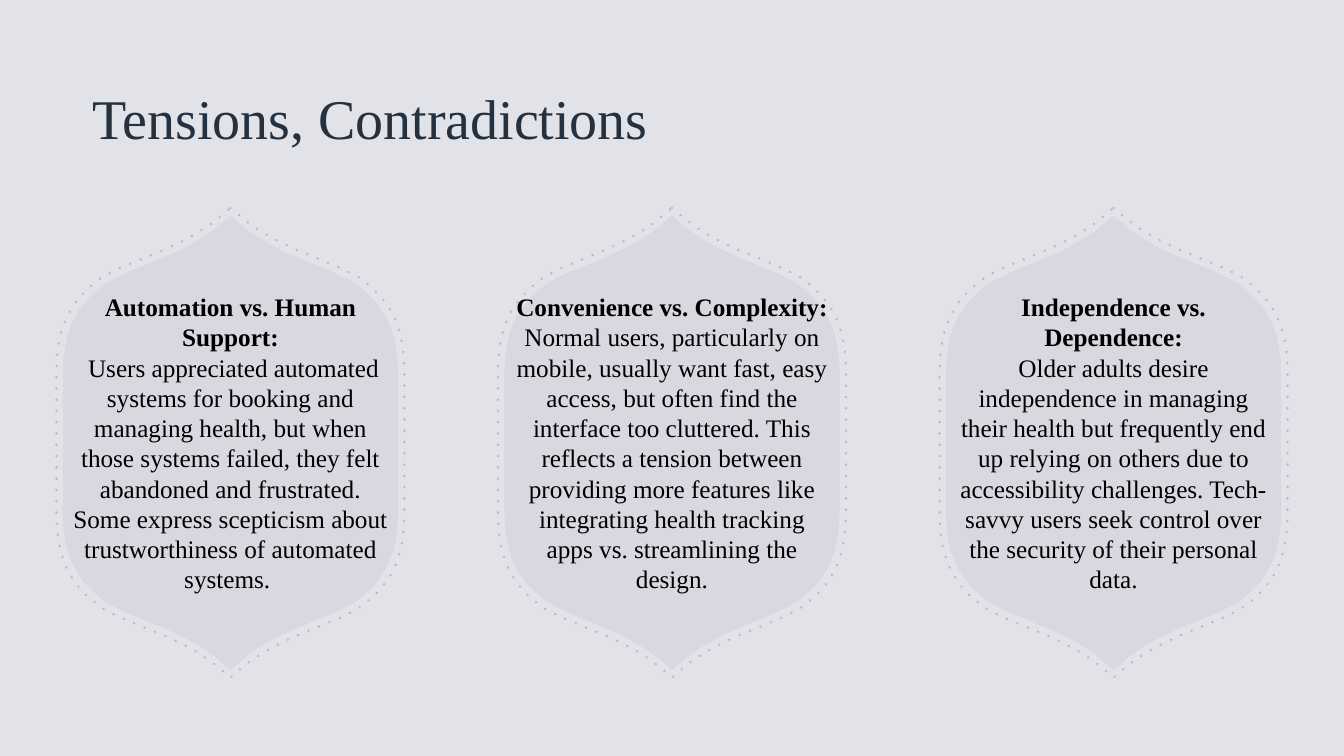
from lxml.etree import SubElement
from pptx import Presentation
from pptx.dml.color import RGBColor
from pptx.enum.shapes import MSO_SHAPE
from pptx.enum.text import MSO_ANCHOR, PP_ALIGN
from pptx.oxml.ns import qn
from pptx.util import Pt

FONT = "Times New Roman"
WIDE, HIGH = 960, 540

# Top right quarter of the badge, as shares of half its width and height:
# tip, neck, then two curves of three points each
QUARTER = [
    (0, -1), (0.09, -0.944),
    (0.307, -0.82), (0.55, -0.785), (0.738, -0.704),
    (0.915, -0.609), (1, -0.506), (1, -0.292),
]
# Lines (L) and curves (C) round the ring; the last line closes it
MOVES = ("LCCLCCL" * 2)[:-1]

PANELS = [
    ("Automation vs. Human Support:",
     " Users appreciated automated systems for booking and managing health, "
     "but when those systems failed, they felt abandoned and frustrated. Some "
     "express scepticism about trustworthiness of automated systems. "),
    ("Convenience vs. Complexity: ",
     "Normal users, particularly on mobile, usually want fast, easy access, "
     "but often find the interface too cluttered. This reflects a tension "
     "between providing more features like integrating health tracking apps "
     "vs. streamlining the design."),
    ("Independence vs. Dependence:",
     "Older adults desire independence in managing their health but "
     "frequently end up relying on others due to accessibility challenges. "
     "Tech-savvy users seek control over the security of their personal data."),
]


def tint(color, code):
    color.rgb = RGBColor.from_string(code)


def fade(shape, share):
    for node in shape.element.spPr.iter(qn("a:srgbClr")):
        SubElement(node, qn("a:alpha"), val=str(share * 1000))


def write(para, text, size=18, color="000000", bold=False, align=PP_ALIGN.LEFT):
    para.alignment = align
    run = para.add_run()
    run.text = text
    run.font.name, run.font.size, run.font.bold = FONT, Pt(size), bold
    tint(run.font.color, color)


def frame(shape):
    body = shape.text_frame
    body.word_wrap = True
    body.vertical_anchor = MSO_ANCHOR.MIDDLE
    return body


def curve(shape):
    """Join the straight steps of each curve into one cubic segment."""
    steps = iter(list(shape.element.spPr.iter(qn("a:lnTo"))))
    for move in MOVES:
        first = next(steps)
        if move == "C":
            first.tag = qn("a:cubicBezTo")
            for _ in range(2):
                extra = next(steps)
                first.append(extra[0])
                extra.getparent().remove(extra)


def badge(slide, left, top, width, height):
    """Pointed badge outline that fills the given box."""
    half = QUARTER + [(x, -y) for x, y in reversed(QUARTER)]
    ring = half + [(-x, y) for x, y in reversed(half[1:-1])]
    dots = [(Pt(left + width * (1 + x) / 2), Pt(top + height * (1 + y) / 2))
            for x, y in ring]
    pen = slide.shapes.build_freeform(*dots[0])
    pen.add_line_segments(dots[1:], close=True)
    shape = pen.convert_to_shape()
    shape.shadow.inherit = False
    curve(shape)
    return shape


def panel(slide, left, top, width, height, head, text):
    # Dotted rim
    rim = badge(slide, left, top, width, height)
    rim.fill.background()
    rim.line.width = Pt(2)
    tint(rim.line.color, "A2A5B5")
    fade(rim, 64)
    stroke = rim.element.spPr.find(qn("a:ln"))
    stroke.set("cap", "rnd")
    SubElement(stroke, qn("a:prstDash"), val="dot")

    # Tinted body with its text
    core = badge(slide, left + 4.5, top + 5.5, width - 9, height - 11)
    core.fill.solid()
    tint(core.fill.fore_color, "A2A5B5")
    fade(core, 15)
    core.line.fill.background()
    body = frame(core)
    write(body.paragraphs[0], head, bold=True, align=PP_ALIGN.CENTER)
    write(body.add_paragraph(), text, align=PP_ALIGN.CENTER)


def ground(slide, color):
    """Backdrop over the whole slide."""
    slide.background.fill.solid()
    sheet = slide.shapes.add_shape(MSO_SHAPE.RECTANGLE, 0, 0, Pt(WIDE), Pt(HIGH))
    sheet.shadow.inherit = False
    sheet.fill.solid()
    sheet.line.fill.background()
    for fill in (slide.background.fill, sheet.fill):
        tint(fill.fore_color, color)


def title(slide, left, top, width, height, text):
    box = slide.shapes.add_textbox(Pt(left), Pt(top), Pt(width), Pt(height))
    write(frame(box).paragraphs[0], text, size=40, color="243141")


def main():
    deck = Presentation()
    deck.slide_width, deck.slide_height = Pt(WIDE), Pt(HIGH)
    slide = deck.slides.add_slide(deck.slide_layouts[6])

    ground(slide, "E2E3E8")
    title(slide, 59, 24, 515.5, 119, "Tensions, Contradictions")

    # Three panels, spread evenly about the middle of the slide
    width, pitch = 248.5, 315.4
    for spot, (head, text) in enumerate(PANELS):
        left = (WIDE - width) / 2 + (spot - 1) * pitch
        panel(slide, left, 148.5, width, 335.5, head, text)

    deck.save("out.pptx")


if __name__ == "__main__":
    main()
